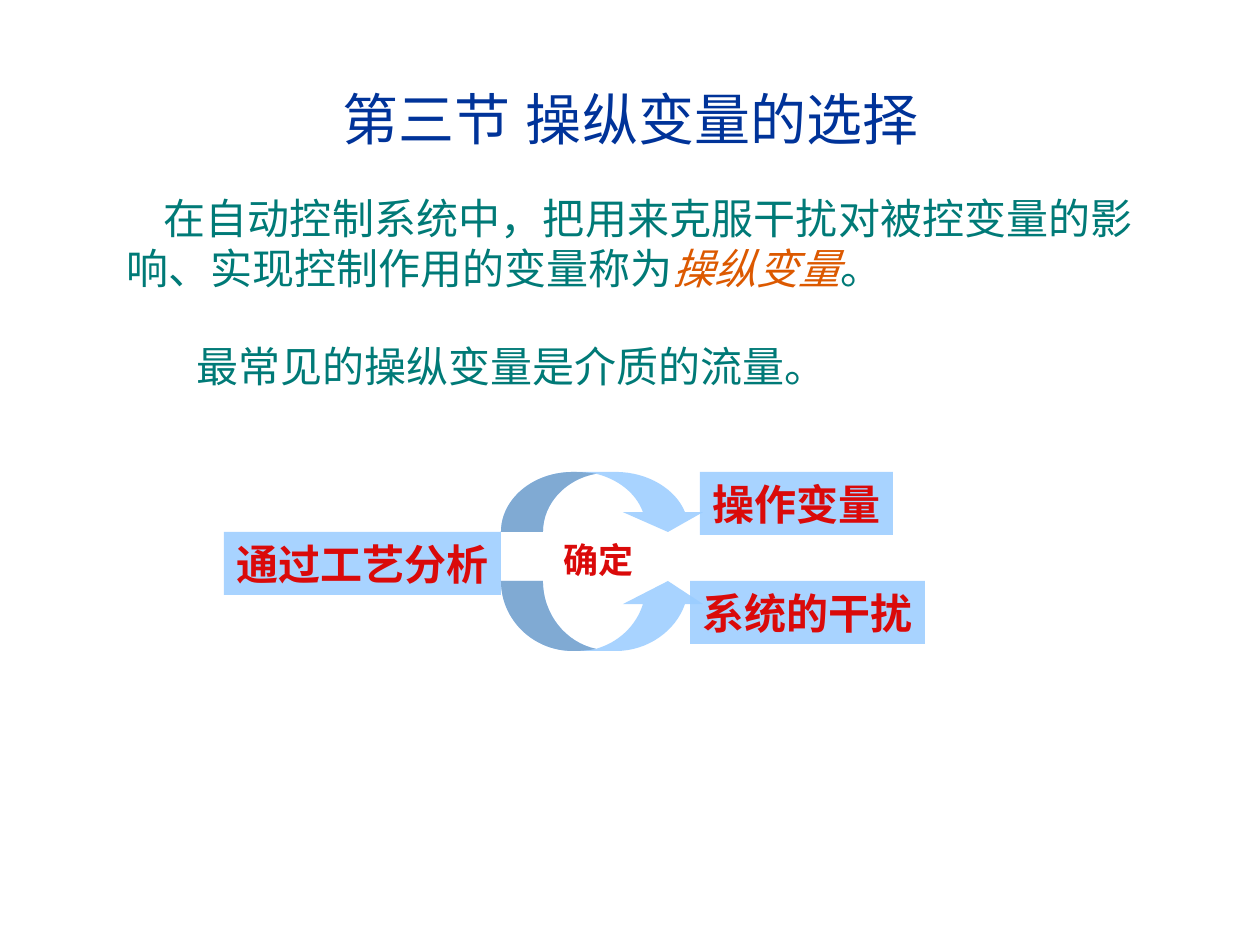
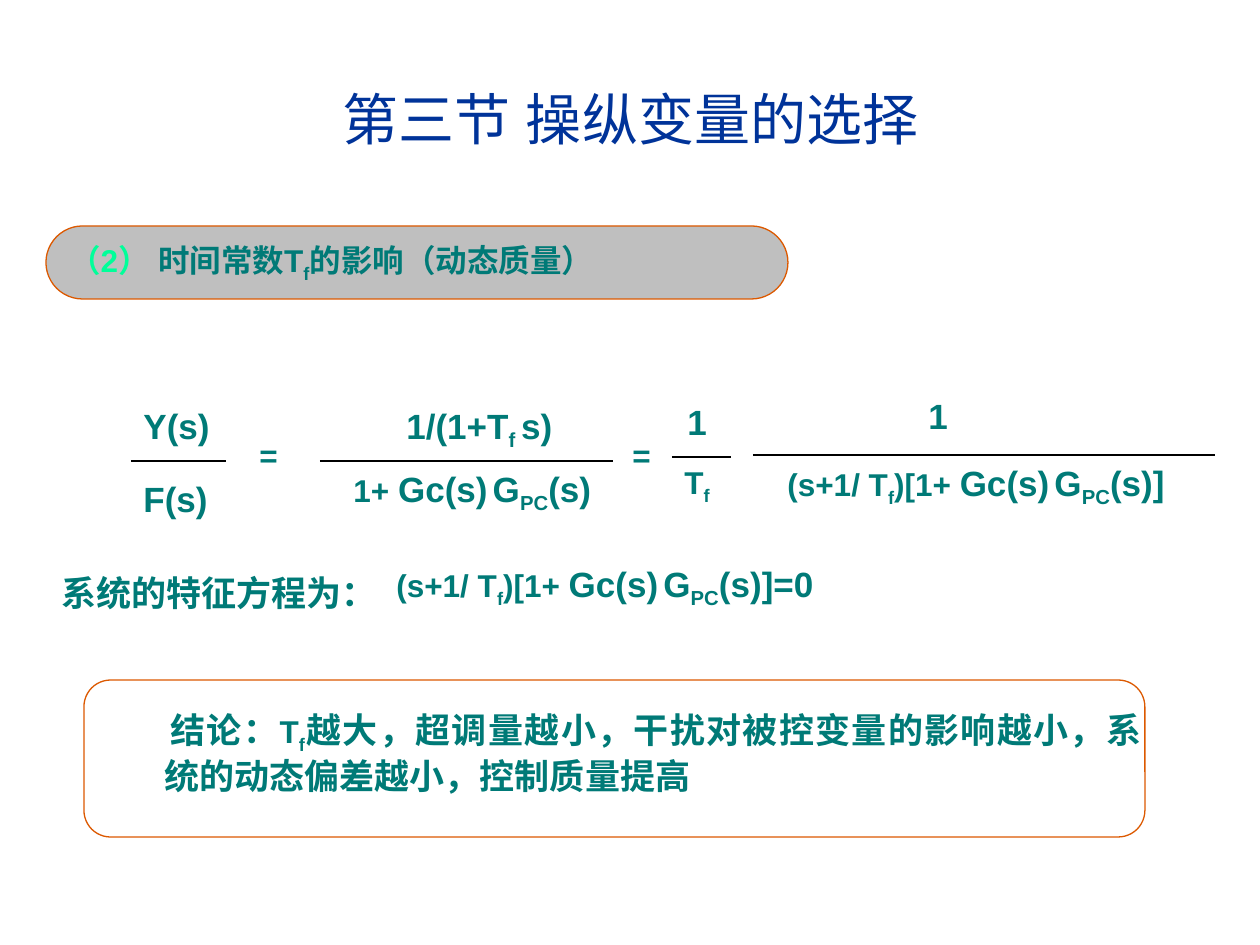
from collections import namedtuple

from lxml.etree import SubElement
from pptx import Presentation
from pptx.dml.color import RGBColor
from pptx.enum.shapes import MSO_CONNECTOR, MSO_SHAPE
from pptx.enum.text import MSO_ANCHOR, PP_ALIGN
from pptx.oxml.ns import qn
from pptx.util import Pt

EMU_PER_PX = 914400 / 126
FONT = "Arial"
NAVY, TEAL, ORANGE, RED = "003399", "007A77", "DC5900", "DA0A0A"
SKY, GREY, MINT, BLACK = "99CCFF", "BFBFBF", "00FF99", "000000"
TITLE = "第三节 操纵变量的选择"

Run = namedtuple("Run", "text size sub color italic", defaults=(None, False, None, False))

LOOP_GAIN = [Run("Gc(s)"), Run(" ", 18, True), Run("G"), Run("PC", sub=True)]
CHARACTERISTIC = [Run("(s+1/ T", 18), Run("f", 18, True), Run(")[1+ ", 18), *LOOP_GAIN]

# Curved arrow: x in px from its tail, y as a share of its height.
# Three points make a Bézier curve, one makes a straight line.
ARROW_START = (0, 1)
ARROW_RISE = [(0, 0.45), (32, 0), (72, 0)]
ARROW_RETURN = [(65, 0.12), (42, 0.52), (42, 1)]
ARROW_OUTLINE = [ARROW_RISE, [(115, 0)], [(147, 0), (175, 0.29), (184, 0.67)],
                 [(202, 0.67)], [(167, 1)], [(122, 0.67)], [(142, 0.67)],
                 [(135, 0.35), (117, 0.12), (95, 0.03)], ARROW_RETURN]
ARROW_SHADE = [ARROW_RISE, [(80, 0), (88, 0.01), (95, 0.03)], ARROW_RETURN]


def px(length):
    return round(length * EMU_PER_PX)


def rgb(code):
    return RGBColor.from_string(code)


def write(shape, runs, size=20, color=TEAL, bold=True, align=PP_ALIGN.LEFT,
          anchor=MSO_ANCHOR.TOP, wrap=True):
    """Fill a shape with one paragraph and return that paragraph."""
    frame = shape.text_frame
    frame.word_wrap = wrap
    frame.vertical_anchor = anchor
    frame.margin_left = frame.margin_right = px(12.6)
    frame.margin_top = frame.margin_bottom = px(6.3)
    paragraph = frame.paragraphs[0]
    paragraph.alignment = align
    font = paragraph.font
    font.size, font.bold = Pt(size), bold
    font.color.rgb = rgb(color)
    font.name = FONT
    defaults = paragraph._p.pPr.find(qn("a:defRPr"))
    SubElement(defaults, qn("a:ea")).set("typeface", FONT)
    for part in [Run(runs)] if isinstance(runs, str) else runs:
        run = paragraph.add_run()
        run.text = part.text
        if part.size:
            run.font.size = Pt(part.size)
        if part.color:
            run.font.color.rgb = rgb(part.color)
        if part.italic:
            run.font.italic = True
        if part.sub:
            run._r.get_or_add_rPr().set("baseline", "-25000")
    return paragraph


def add_text(slide, left, top, width, height, runs, **style):
    box = slide.shapes.add_textbox(px(left), px(top), px(width), px(height))
    return write(box, runs, **style)


def set_indent(paragraph, first_line, margin=0):
    properties = paragraph._p.get_or_add_pPr()
    properties.set("marL", str(px(margin)))
    properties.set("indent", str(px(first_line)))


def paint(shape, fill=None, line=None, opacity=100):
    shape.shadow.inherit = False
    if fill:
        shape.fill.solid()
        shape.fill.fore_color.rgb = rgb(fill)
        if opacity < 100:
            tone = shape._element.spPr.find(qn("a:solidFill"))[0]
            SubElement(tone, qn("a:alpha")).set("val", str(opacity * 1000))
    else:
        shape.fill.background()
    if line:
        shape.line.color.rgb = rgb(line)
        shape.line.width = Pt(0.75)
    else:
        shape.line.fill.background()


def add_block(slide, kind, left, top, width, height, **colours):
    block = slide.shapes.add_shape(kind, px(left), px(top), px(width), px(height))
    paint(block, **colours)
    return block


def add_label(slide, left, top, width, text):
    label = add_block(slide, MSO_SHAPE.RECTANGLE, left, top, width, 63,
                      fill=SKY, opacity=85)
    write(label, text, size=24, color=RED, align=PP_ALIGN.CENTER,
          anchor=MSO_ANCHOR.MIDDLE, wrap=False)


def add_path(paths, size, segments, locate, shading):
    """Append one closed path of lines and Bézier curves to a custom geometry."""
    width, height = size
    outline = SubElement(paths, qn("a:path"), w=str(width), h=str(height), fill=shading)
    for command, points in [("moveTo", [ARROW_START])] + [
            ("lnTo" if len(points) == 1 else "cubicBezTo", points) for points in segments]:
        step = SubElement(outline, qn(f"a:{command}"))
        for point in points:
            x, y = locate(point)
            SubElement(step, qn("a:pt"), x=str(x), y=str(y))
    SubElement(outline, qn("a:close"))


def add_curved_arrow(slide, left, crest, foot):
    """Draw an arrow arching from foot to crest; a crest below foot turns it over."""
    def place(point):
        return px(left + point[0]), px(crest + point[1] * (foot - crest))

    builder = slide.shapes.build_freeform(*place(ARROW_START))
    builder.add_line_segments([place(points[-1]) for points in ARROW_OUTLINE], close=True)
    arrow = builder.convert_to_shape()
    paint(arrow, fill=SKY, opacity=85)

    def locate(point):
        x, y = place(point)
        return x - arrow.left, y - arrow.top

    paths = arrow._element.spPr.find(qn("a:custGeom")).find(qn("a:pathLst"))
    paths.remove(paths[0])
    for segments, shading in ((ARROW_OUTLINE, "norm"), (ARROW_SHADE, "darkenLess")):
        add_path(paths, (arrow.width, arrow.height), segments, locate, shading)


def add_bar(slide, left, right, y):
    bar = slide.shapes.add_connector(MSO_CONNECTOR.STRAIGHT, px(left), px(y), px(right), px(y))
    bar.line.color.rgb = rgb(BLACK)
    bar.line.width = Pt(0.75)
    SubElement(bar._element.spPr, qn("a:effectLst"))


def add_fraction(slide, bar, numerator, denominator):
    """Each part is (left, top, width, runs)."""
    add_bar(slide, *bar)
    for left, top, width, runs in (numerator, denominator):
        add_text(slide, left, top, width, 56, runs)


def add_titled_slide(deck):
    slide = deck.slides.add_slide(deck.slide_layouts[5])
    title = slide.shapes.title
    title.left, title.top, title.width, title.height = map(px, (42, 39, 1177, 158))
    write(title, TITLE, size=32, color=NAVY, bold=False,
          align=PP_ALIGN.CENTER, anchor=MSO_ANCHOR.MIDDLE)
    return slide


def build_definition(deck):
    slide = add_titled_slide(deck)
    body = dict(size=24, bold=False, align=PP_ALIGN.JUSTIFY)
    definition = add_text(slide, 114, 186, 1032, 113, [
        Run("在自动控制系统中，把用来克服干扰对被控变量的影响、实现控制作用的变量称为"),
        Run("操纵变量", color=ORANGE, italic=True),
        Run("。")], **body)
    set_indent(definition, 37)
    add_text(slide, 184, 334, 843, 63, "最常见的操纵变量是介质的流量。", **body)

    add_label(slide, 700, 472, 193, "操作变量")
    add_label(slide, 690, 581, 235, "系统的干扰")
    add_label(slide, 224, 532, 277, "通过工艺分析")
    add_curved_arrow(slide, 501, crest=651, foot=581)
    add_curved_arrow(slide, 501, crest=472, foot=532)
    add_text(slide, 551, 532, 129, 56, "确定", color=RED, align=PP_ALIGN.JUSTIFY)


def build_time_constant(deck):
    slide = add_titled_slide(deck)
    heading = add_block(slide, MSO_SHAPE.ROUNDED_RECTANGLE, 46, 226, 742, 73,
                        fill=GREY, line=ORANGE)
    heading.adjustments[0] = 0.5
    write(heading, [Run("（2） ", color=MINT), Run("时间常数T"), Run("f", sub=True),
                    Run("的影响（动态质量）")], size=18, anchor=MSO_ANCHOR.MIDDLE)

    add_fraction(slide, (131, 226, 461),
                 (131, 398, 95, "Y(s)"),
                 (131, 471, 95, "F(s)"))
    add_fraction(slide, (320, 613, 461),
                 (394, 398, 178, [Run("1/(1+T"), Run("f ", sub=True), Run("s)")]),
                 (341, 461, 284, [Run("1+ ", 18), *LOOP_GAIN, Run("(s)")]))
    add_fraction(slide, (672, 731, 457),
                 (675, 394, 53, "1"),
                 (672, 457, 67, [Run("T", 18), Run("f", 18, True)]))
    add_fraction(slide, (753, 1215, 455),
                 (916, 388, 178, "1"),
                 (775, 455, 446, [*CHARACTERISTIC, Run("(s)]")]))
    for left in (247, 620):
        add_text(slide, left, 430, 63, 50, "=", size=18)

    add_text(slide, 49, 565, 354, 56, "系统的特征方程为：")
    add_text(slide, 384, 556, 542, 60, [*CHARACTERISTIC, Run("(s)]=0")])

    frame = add_block(slide, MSO_SHAPE.ROUNDED_RECTANGLE, 84, 680, 1061, 157, line=ORANGE)
    frame.adjustments[0] = 0.17
    conclusion = add_text(slide, 105, 702, 1049, 130, [
        Run("结论："), Run("T", 18), Run("f", 18, True),
        Run("越大，超调量越小，干扰对被控变量的影响越小，系统的动态偏差越小，控制质量提高")],
        align=PP_ALIGN.JUSTIFY)
    set_indent(conclusion, 6, margin=47)


def main():
    deck = Presentation()
    deck.slide_width, deck.slide_height = px(1260), px(945)
    build_definition(deck)
    build_time_constant(deck)
    deck.save("out.pptx")


if __name__ == "__main__":
    main()
